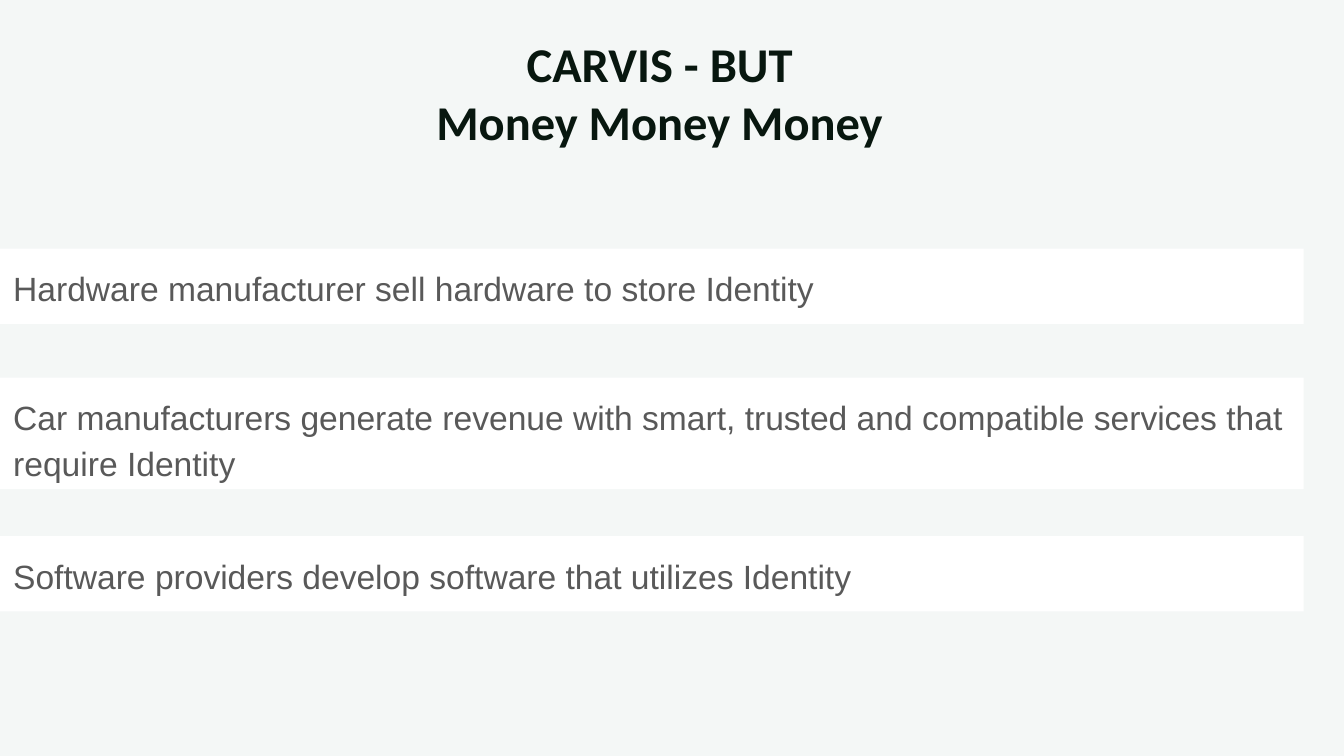
from pptx import Presentation
from pptx.dml.color import RGBColor
from pptx.enum.shapes import MSO_SHAPE as Shape
from pptx.enum.text import MSO_ANCHOR as Anchor, PP_ALIGN as Align
from pptx.util import Inches, Pt

SLIDE_WIDTH = Inches(10)
SLIDE_HEIGHT = SLIDE_WIDTH * 9 // 16

BACKGROUND = RGBColor(0xF4, 0xF7, 0xF6)
TITLE_COLOR = RGBColor(0x08, 0x17, 0x0F)
BAND_FILL = RGBColor(0xFF, 0xFF, 0xFF)
BODY_COLOR = RGBColor(0x59, 0x59, 0x59)

TITLE_FONT = {"name": "Calibri", "size": Pt(26), "bold": True}
BODY_FONT = {"name": "Arial", "size": Pt(18), "bold": False}
TITLE_PARAGRAPH = {"alignment": Align.CENTER, "line_spacing": 1.0,
                   "space_before": Pt(0)}
BODY_PARAGRAPH = {"alignment": Align.LEFT, "line_spacing": 1.15}
FRAME = {"word_wrap": True, "vertical_anchor": Anchor.TOP,
         "margin_left": Inches(0.1), "margin_right": Inches(0.1),
         "margin_top": Inches(0.1), "margin_bottom": Inches(0.1)}

TITLE_LINES = ["CARVIS - BUT", "Money Money Money"]
# Top, height and text of each band
BANDS = [
    (1.85, 0.56, "Hardware manufacturer sell hardware to store Identity"),
    (2.81, 0.83, "Car manufacturers generate revenue with smart, trusted and "
                 "compatible services that require Identity"),
    (3.99, 0.56, "Software providers develop software that utilizes Identity"),
]


def apply_format(target, values):
    for name, value in values.items():
        setattr(target, name, value)


def write_text(shape, lines, paragraph_format, font_format, color):
    frame = shape.text_frame
    apply_format(frame, FRAME)
    frame.text = "\n".join(lines)
    for paragraph in frame.paragraphs:
        apply_format(paragraph, paragraph_format)
        apply_format(paragraph.font, font_format)
        paragraph.font.color.rgb = color


def add_title(slide):
    title = slide.shapes.title
    apply_format(title, {"left": Inches(0.53), "top": Inches(0.15),
                         "width": Inches(8.76), "height": Inches(1.07)})
    write_text(title, TITLE_LINES, TITLE_PARAGRAPH, TITLE_FONT, TITLE_COLOR)


def add_band(slide, top, height, text):
    band = slide.shapes.add_shape(Shape.RECTANGLE, 0, Inches(top),
                                  Inches(9.7), Inches(height))
    band.shadow.inherit = False
    band.fill.solid()
    band.fill.fore_color.rgb = BAND_FILL
    band.line.fill.background()
    write_text(band, [text], BODY_PARAGRAPH, BODY_FONT, BODY_COLOR)


def main():
    presentation = Presentation()
    presentation.slide_width = SLIDE_WIDTH
    presentation.slide_height = SLIDE_HEIGHT
    title_only = presentation.slide_layouts[5]
    slide = presentation.slides.add_slide(title_only)
    slide.background.fill.solid()
    slide.background.fill.fore_color.rgb = BACKGROUND

    add_title(slide)
    for top, height, text in BANDS:
        add_band(slide, top, height, text)
    presentation.save("out.pptx")


if __name__ == "__main__":
    main()
